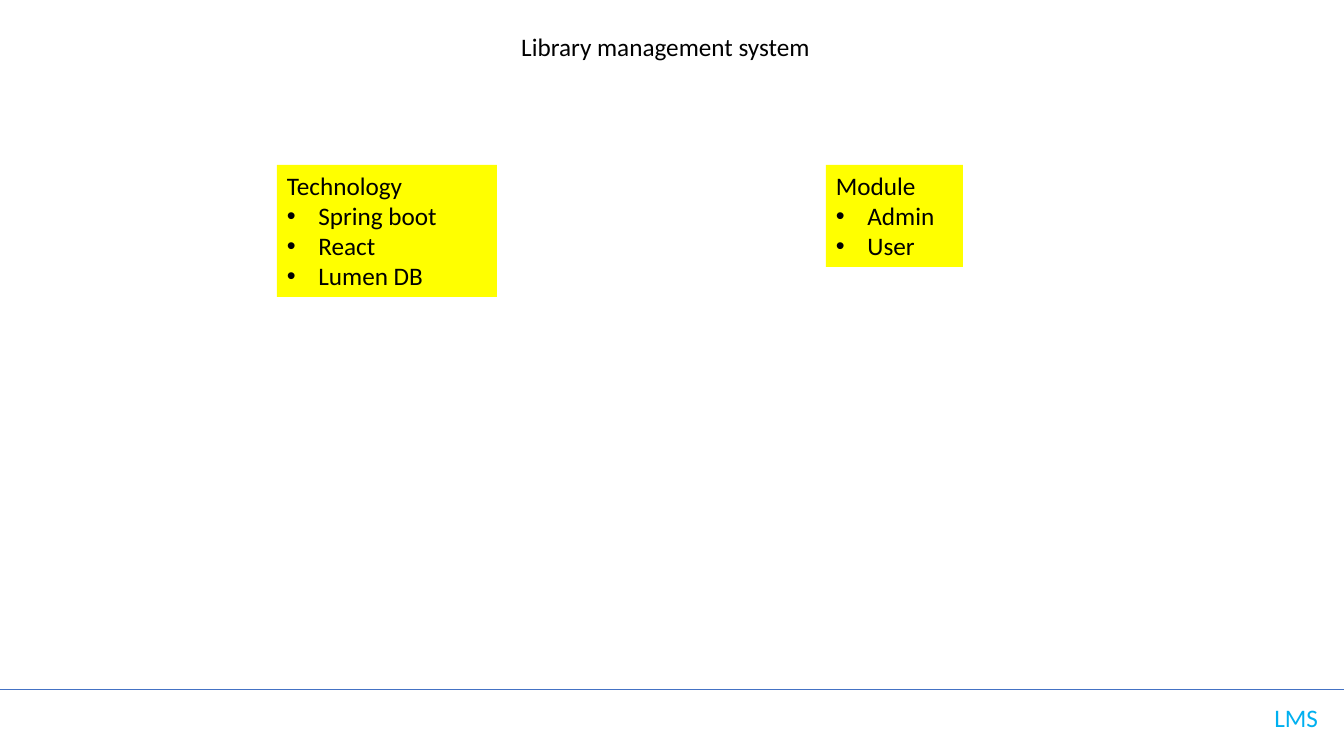
from dataclasses import dataclass
from lxml.etree import SubElement as Sub
from pptx import Presentation
from pptx.dml.color import RGBColor as Rgb
from pptx.enum.shapes import MSO_CONNECTOR as Link
from pptx.enum.text import MSO_AUTO_SIZE as Fit, PP_ALIGN as Align
from pptx.oxml.ns import qn
from pptx.util import Emu, Pt

WIDE, HIGH = 1344, 756
RULE = 689
INDENT = 31.5
COLORS = {"rule": "4472C4", "mark": "00B0F0", "text": "000000", "card": "FFFF00"}


@dataclass(frozen=True)
class Box:
    left: int
    top: int
    width: int
    height: int
    head: str
    items: tuple[str, ...] = ()
    align: Align = Align.LEFT
    color: str = "text"
    fill: str = ""


BOXES = (
    Box(1120, 697, 208, 40, "LMS", align=Align.RIGHT, color="mark"),
    Box(425, 26, 481, 40, "Library management system", align=Align.CENTER),
    Box(277, 165, 220, 132, "Technology", ("Spring boot", "React", "Lumen DB"), fill="card"),
    Box(826, 165, 137, 102, "Module", ("Admin", "User"), fill="card"),
)


def px(size: float) -> Emu:
    return Emu(round(size * 914400 / 100.8))


def tint(name: str) -> Rgb:
    return Rgb.from_string(COLORS[name])


def bullet(par) -> None:
    props = par._p.get_or_add_pPr()
    props.set("marL", str(px(INDENT)))
    props.set("indent", str(-px(INDENT)))
    Sub(props, qn("a:buFont"), typeface="Arial")
    Sub(props, qn("a:buChar"), char="•")


def draw_box(slide, box: Box) -> None:
    shape = slide.shapes.add_textbox(px(box.left), px(box.top), px(box.width), px(box.height))
    if box.fill:
        shape.fill.solid()
        shape.fill.fore_color.rgb = tint(box.fill)
    frame = shape.text_frame
    frame.word_wrap = True
    frame.auto_size = Fit.SHAPE_TO_FIT_TEXT
    frame.text = "\n".join((box.head, *box.items))
    for par in frame.paragraphs[1:]:
        bullet(par)
    for par in frame.paragraphs:
        par.alignment = box.align
        par.font.name = "Calibri"
        par.font.size = Pt(18)
        par.font.color.rgb = tint(box.color)


def draw_rule(slide) -> None:
    rule = slide.shapes.add_connector(Link.STRAIGHT, 0, px(RULE), px(WIDE), px(RULE))
    rule.line.color.rgb = tint("rule")
    rule.line.width = Pt(0.5)
    Sub(rule._element.spPr, qn("a:effectLst"))


deck = Presentation()
deck.slide_width, deck.slide_height = px(WIDE), px(HIGH)
slide = deck.slides.add_slide(deck.slide_layouts[6])
draw_rule(slide)
for box in BOXES:
    draw_box(slide, box)
deck.save("out.pptx")
